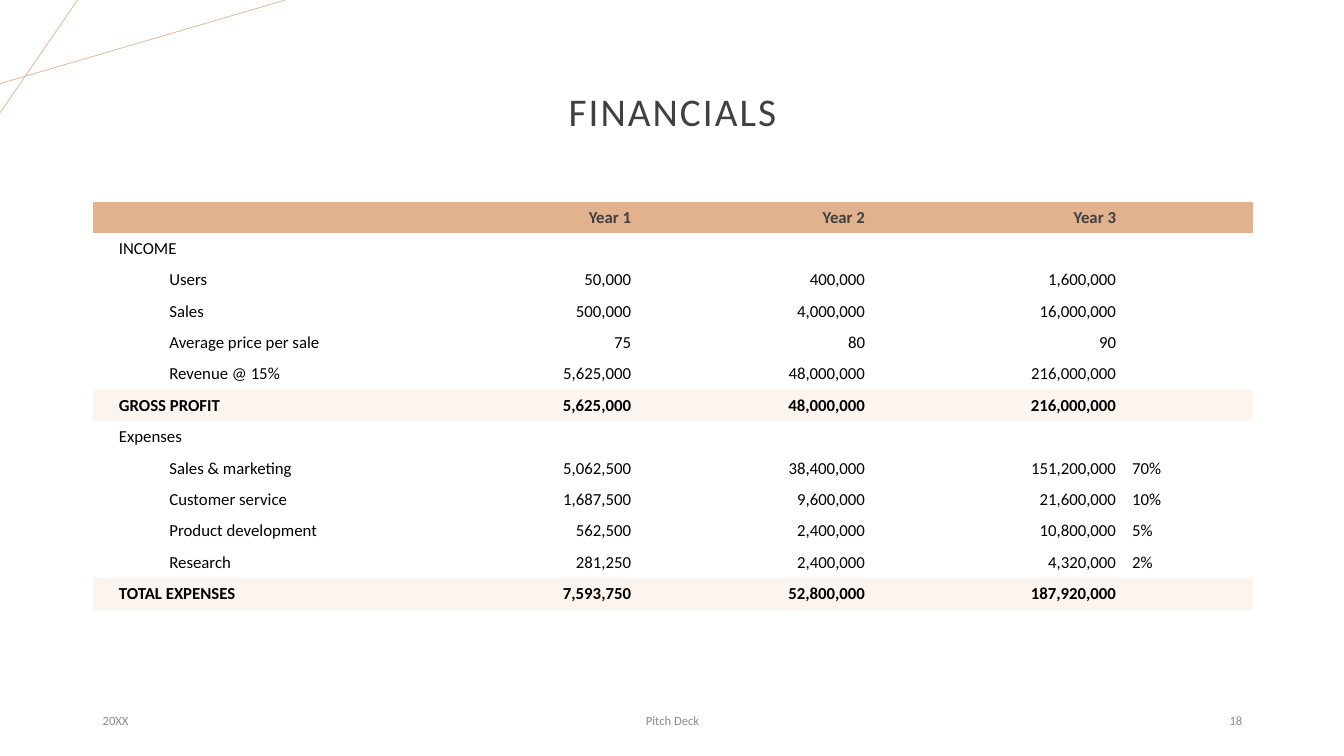
from lxml import etree
from pptx import Presentation
from pptx import util as u
from pptx.dml import color
from pptx.enum import shapes, text
from pptx.oxml import ns

ACCENT, TINT, DARK, GREY, BLACK = "E2B18D", "FBF4EF", "404040", "8C8C8C", "000000"
LEFT, CENTER, RIGHT = text.PP_ALIGN.LEFT, text.PP_ALIGN.CENTER, text.PP_ALIGN.RIGHT
NO_GRID_STYLE = "{2D5ABB26-0587-4C30-8999-92F81FD0307C}"

COLUMN_WIDTHS = [3.54, 1.88, 2.32, 2.49, 1.28]
FINANCIALS = [
    ("header", ["", "Year 1", "Year 2", "Year 3", ""]),
    ("section", ["INCOME", "", "", "", ""]),
    ("item", ["Users", "50,000", "400,000", "1,600,000", ""]),
    ("item", ["Sales", "500,000", "4,000,000", "16,000,000", ""]),
    ("item", ["Average price per sale", "75", "80", "90", ""]),
    ("item", ["Revenue @ 15%", "5,625,000", "48,000,000", "216,000,000", ""]),
    ("total", ["GROSS PROFIT", "5,625,000", "48,000,000", "216,000,000", ""]),
    ("section", ["Expenses", "", "", "", ""]),
    ("item", ["Sales & marketing", "5,062,500", "38,400,000", "151,200,000", "70%"]),
    ("item", ["Customer service", "1,687,500", "9,600,000", "21,600,000", "10%"]),
    ("item", ["Product development", "562,500", "2,400,000", "10,800,000", "5%"]),
    ("item", ["Research", "281,250", "2,400,000", "4,320,000", "2%"]),
    ("total", ["TOTAL EXPENSES", "7,593,750", "52,800,000", "187,920,000", ""]),
]


def rgb(value):
    return color.RGBColor.from_string(value)


class FinancialSlide:
    """Draws styled elements on one slide."""

    font = "Calibri"
    row_fills = {"header": ACCENT, "total": TINT}

    def __init__(self, slide):
        self.slide = slide

    def style(self, paragraph, size, ink, align, bold=False):
        paragraph.alignment = align
        for run in paragraph.runs:
            run.font.name = self.font
            run.font.size = u.Pt(size)
            run.font.bold = bold
            run.font.color.rgb = rgb(ink)
        if not paragraph.runs:
            etree.SubElement(paragraph._p, ns.qn("a:endParaRPr"), sz=str(size * 100))

    def line(self, start, end):
        x1, y1, x2, y2 = (u.Inches(n) for n in (*start, *end))
        accent = self.slide.shapes.add_connector(shapes.MSO_CONNECTOR.STRAIGHT, x1, y1, x2, y2)
        accent.line.color.rgb = rgb(ACCENT)
        accent.line.width = u.Pt(0.5)
        etree.SubElement(accent._element.spPr, ns.qn("a:effectLst"))

    def label(self, words, box, size, ink, align, tracking=0, line_spacing=None):
        frame = self.slide.shapes.add_textbox(*(u.Inches(n) for n in box)).text_frame
        frame.word_wrap = True
        frame.vertical_anchor = text.MSO_ANCHOR.MIDDLE
        frame.text = words
        paragraph = frame.paragraphs[0]
        self.style(paragraph, size, ink, align)
        paragraph.line_spacing = line_spacing
        if tracking:
            paragraph.runs[0]._r.get_or_add_rPr().set("spc", str(int(tracking * 100)))

    def cell(self, cell, words, kind, column):
        cell.text = words
        cell.vertical_anchor = text.MSO_ANCHOR.MIDDLE
        cell.margin_left = u.Inches(0.08 if column else 0.26)
        cell.margin_right = u.Inches(0.08)
        cell.margin_top = cell.margin_bottom = u.Inches(0.04)
        if kind in self.row_fills:
            cell.fill.solid()
            cell.fill.fore_color.rgb = rgb(self.row_fills[kind])
        else:
            cell.fill.background()
        paragraph = cell.text_frame.paragraphs[0]
        ink = DARK if kind == "header" else BLACK
        align = RIGHT if column in (1, 2, 3) else LEFT
        self.style(paragraph, 12, ink, align, kind in self.row_fills)
        if kind == "item" and column == 0:
            paragraph.level = 1
            indent = paragraph._p.get_or_add_pPr()
            indent.set("marL", str(u.Inches(0.5)))
            indent.set("indent", "0")

    def table(self, rows, widths, box):
        frame = self.slide.shapes.add_table(len(rows), len(widths), *(u.Inches(n) for n in box))
        table = frame.table
        table.first_row = table.horz_banding = False
        table._tbl.tblPr.find(ns.qn("a:tableStyleId")).text = NO_GRID_STYLE
        for column, width in zip(table.columns, widths):
            column.width = u.Inches(width)
        for r, (kind, values) in enumerate(rows):
            table.rows[r].height = u.Inches(box[3] / len(rows))
            for c, words in enumerate(values):
                self.cell(table.cell(r, c), words, kind, c)


def main():
    deck = Presentation()
    deck.slide_width, deck.slide_height = u.Inches(13.33), u.Inches(7.5)
    page = FinancialSlide(deck.slides.add_slide(deck.slide_layouts[6]))

    page.line((0, 0.83), (2.83, 0))
    page.line((0.77, 0), (0, 1.12))
    page.label("FINANCIALS", (0.92, 0.4, 11.5, 1.45), 28, DARK, CENTER, 1.5, 0.9)
    for words, left, width, align in [
        ("20XX", 0.92, 3, LEFT),
        ("Pitch Deck", 4.42, 4.5, CENTER),
        ("18", 9.42, 3, RIGHT),
    ]:
        page.label(words, (left, 6.95, width, 0.4), 9, GREY, align)
    page.table(FINANCIALS, COLUMN_WIDTHS, (0.92, 2, 11.5, 4.05))

    deck.save("out.pptx")


if __name__ == "__main__":
    main()
